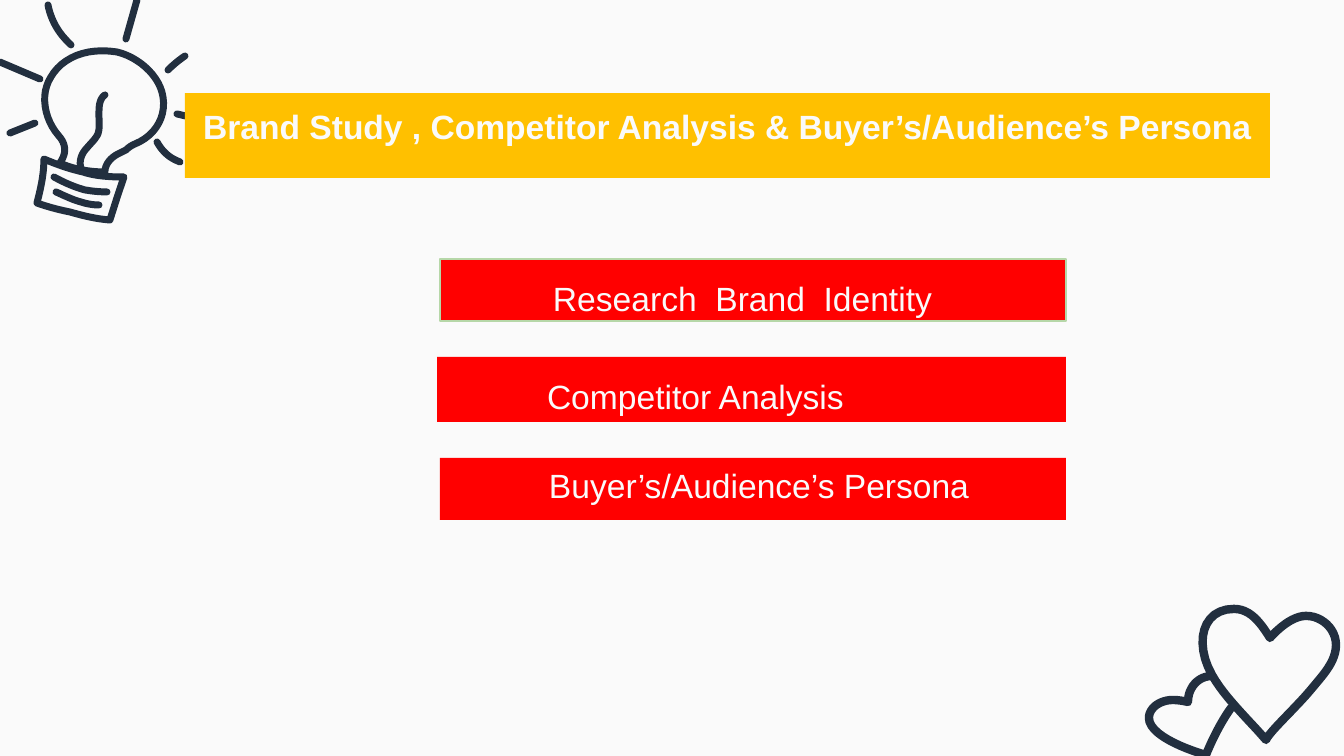
from pptx import Presentation
from pptx.dml.color import RGBColor
from pptx.enum.shapes import MSO_SHAPE
from pptx.enum.text import MSO_ANCHOR, MSO_AUTO_SIZE, PP_ALIGN
from pptx.oxml.ns import qn
from pptx.util import Pt

RECT = MSO_SHAPE.RECTANGLE
TOP = MSO_ANCHOR.TOP
NO_FIT = MSO_AUTO_SIZE.NONE
LEFT, CENTER = PP_ALIGN.LEFT, PP_ALIGN.CENTER

SCALE = 914400 / 134.4
STEPS = 12
FONT = "Arial"
COLORS = {"paper": "FAFAFA", "ink": "222F3F", "gold": "FFC000",
          "red": "FF0000", "green": "B6D7A8"}

# Each stroke starts at a point; a pair is a line, six numbers are a Bézier curve.
BULB = [
    [(105, 172), (105, 165, 110, 158, 118, 154), (126, 150),
     (128, 148, 132, 145, 135, 144), (157, 135, 168, 114, 162, 92),
     (157, 74, 138, 57, 117, 52), (86, 47, 62, 58, 51, 77),
     (40, 94, 44, 119, 59, 136), (66, 144, 67, 153, 60, 163),
     (75, 170, 93, 172, 105, 172)],
    [(44, 159), (58, 165, 70, 169, 83, 172), (95, 176, 109, 177, 124, 177),
     (117, 198), (110, 220), (97, 219, 84, 216, 70, 212),
     (60, 210, 48, 207, 37, 203), (41, 188, 44, 174, 44, 159)],
    [(54, 177), (63, 182, 74, 187, 85, 190), (91, 191, 99, 192, 107, 192)],
    [(56, 192), (65, 196, 73, 200, 81, 202), (87, 204, 93, 205, 99, 205)],
    [(105, 95), (99, 99, 99, 108, 99, 114), (99, 122, 100, 128, 98, 134),
     (95, 140, 91, 143, 87, 148), (81, 154, 79, 162, 81, 168)],
    [(137, 0), (126, 39)],
    [(177, 114), (215, 123)],
    [(0, 62), (40, 79)],
    [(185, 56), (179, 60, 173, 65, 168, 70)],
    [(48, 5), (51, 20, 58, 33, 71, 45)],
    [(157, 142), (162, 151, 169, 158, 180, 162)],
    [(10, 133), (35, 123)],
]
HEARTS = [
    [(92, 5), (108, 5, 118, 18, 128, 34), (135, 26, 150, 12, 164, 12),
     (180, 12, 194, 25, 194, 41), (194, 57, 182, 70, 172, 82),
     (157, 101, 127, 128, 124, 136), (105, 114, 83, 94, 70, 71),
     (52, 39, 60, 5, 92, 5)],
    [(70, 72), (56, 72, 46, 84, 46, 98), (42, 97, 36, 96, 31, 96),
     (18, 96, 7, 104, 7, 114), (7, 130, 40, 144, 64, 151),
     (70, 136, 79, 118, 89, 104)],
]


def px(n):
    return round(n * SCALE)


def color(name):
    return RGBColor.from_string(COLORS[name])


def trace(stroke):
    points = [stroke[0]]
    for step in stroke[1:]:
        if len(step) == 2:
            points.append(step)
            continue
        x0, y0 = points[-1]
        x1, y1, x2, y2, x3, y3 = step
        for i in range(1, STEPS + 1):
            t = i / STEPS
            a, b, c, d = (1 - t) ** 3, 3 * t * (1 - t) ** 2, 3 * t * t * (1 - t), t ** 3
            points.append((a * x0 + b * x1 + c * x2 + d * x3,
                           a * y0 + b * y1 + c * y2 + d * y3))
    return [(px(x), px(y)) for x, y in points]


def doodle(s, name, strokes, x, y, weight):
    for i, stroke in enumerate(strokes, 1):
        points = trace(stroke)
        builder = s.shapes.build_freeform(*points[0], scale=1.0)
        builder.add_line_segments(points[1:], close=points[0] == points[-1])
        sp = builder.convert_to_shape(px(x), px(y))
        sp.name = f"{name} {i}"
        sp.shadow.inherit = False
        sp.fill.background()
        sp.line.color.rgb = color("ink")
        sp.line.width = Pt(weight)
        sp._element.spPr.find(qn("a:ln")).set("cap", "rnd")
        s.shapes._spTree.insert(1 + i, sp._element)


def bar(sp, box, text, fill, inset=13, side=13, indent=0, spacing=1.0,
        align=LEFT, bold=False, outline=None):
    sp.left, sp.top, sp.width, sp.height = map(px, box)
    sp.fill.solid()
    sp.fill.fore_color.rgb = color(fill)
    if outline:
        sp.line.color.rgb = color(outline)
        sp.line.width = Pt(0.75)
    else:
        sp.line.fill.background()
    tf = sp.text_frame
    tf.text = text
    tf.word_wrap = True
    tf.auto_size = NO_FIT
    tf.vertical_anchor = TOP
    tf.margin_top = tf.margin_bottom = px(inset)
    tf.margin_left = tf.margin_right = px(side)
    p = tf.paragraphs[0]
    p.alignment = align
    p.line_spacing = spacing
    p.space_before = Pt(0)
    pPr = p._p.get_or_add_pPr()
    pPr.set("marL", str(px(indent)))
    pPr.set("indent", "0")
    pPr.append(pPr.makeelement(qn("a:buNone"), {}))
    font = p.runs[0].font
    font.name, font.size, font.bold = FONT, Pt(18), bold
    font.color.rgb = color("paper")


def topics(s, x, y):
    brand, competitor = s.placeholders[1], s.placeholders[2]
    persona = s.shapes.add_shape(RECT, 0, 0, 0, 0)
    persona.shadow.inherit = False
    bar(brand, (x, y, 626, 62), "Research  Brand  Identity", "red",
        indent=100, spacing=1.15, outline="green")
    bar(competitor, (x - 3, y + 98, 629, 65), "Competitor Analysis", "red",
        indent=97, spacing=1.15)
    bar(persona, (x, y + 199, 626, 62), "Buyer’s/Audience’s Persona", "red",
        inset=7, indent=96)


def main():
    prs = Presentation()
    prs.slide_width, prs.slide_height = px(1344), px(756)
    s = prs.slides.add_slide(prs.slide_layouts[3])
    s.background.fill.solid()
    s.background.fill.fore_color.rgb = color("paper")
    doodle(s, "Heart", HEARTS, 1142, 604, 4.5)
    doodle(s, "Light bulb", BULB, 0, 0, 3.75)
    bar(s.shapes.title, (185, 93, 1085, 85),
        "Brand Study , Competitor Analysis & Buyer’s/Audience’s Persona",
        "gold", align=CENTER, bold=True)
    topics(s, 440, 259)
    prs.save("out.pptx")


if __name__ == "__main__":
    main()
